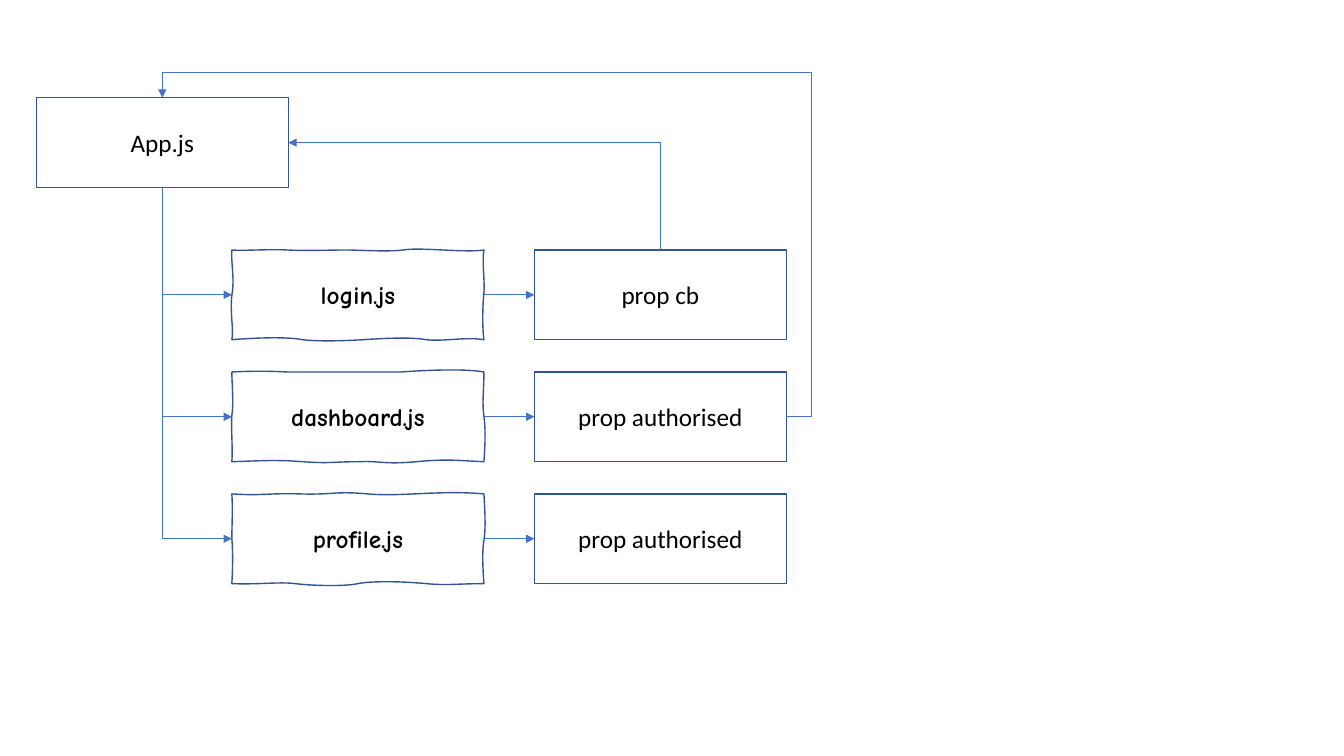
from dataclasses import dataclass

from lxml import etree
from pptx import Presentation
from pptx.dml.color import RGBColor
from pptx.enum.shapes import MSO_CONNECTOR, MSO_SHAPE
from pptx.enum.text import MSO_ANCHOR, PP_ALIGN
from pptx.oxml.ns import qn
from pptx.util import Inches, Pt

RECT = MSO_SHAPE.RECTANGLE
STRAIGHT, ELBOW = MSO_CONNECTOR.STRAIGHT, MSO_CONNECTOR.ELBOW
MIDDLE, CENTER = MSO_ANCHOR.MIDDLE, PP_ALIGN.CENTER
TOP, LEFT, BOTTOM, RIGHT = range(4)

OUTLINE, ARROW, BLACK = "325491", "4472C4", "000000"
BOX_W, BOX_H = 2.5, 0.89
APP_X, APP_Y = 0.36, 0.97
FILE_X, PROP_X = 2.3, 5.3
ROW_Y, ROW_STEP = 2.48, 1.21


@dataclass
class Row:
    file: str
    prop: str
    outline: list[tuple[int, ...]]  # cubic curves, hundredths of an inch


@dataclass
class Elbow:
    start: tuple[float, float]
    end: tuple[float, float]
    preset: str = "bentConnector2"
    turned: bool = True  # rotated by 270 degrees
    flip_h: bool = True
    flip_v: bool = False
    adjust: tuple[int, ...] = ()


ROWS = [
    Row("login.js", "prop cb", [
        (12, 1, 37, -1, 55, 0), (74, 1, 99, 0, 113, 0),
        (126, 0, 154, 2, 170, 0), (186, -3, 232, 3, 250, 0),
        (248, 10, 251, 32, 250, 42), (249, 53, 248, 74, 250, 89),
        (233, 86, 209, 91, 193, 89), (176, 86, 146, 88, 130, 89),
        (115, 90, 86, 91, 70, 89), (55, 86, 25, 87, 0, 89),
        (2, 78, -2, 63, 0, 45), (3, 27, -1, 14, 0, 0)]),
    Row("dashboard.js", "prop authorised", [
        (21, -1, 35, -1, 55, 0), (75, 0, 88, 0, 113, 0),
        (138, 0, 155, 0, 168, 0), (181, -1, 228, -4, 250, 0),
        (250, 19, 248, 30, 250, 44), (252, 58, 251, 75, 250, 89),
        (224, 88, 216, 86, 183, 89), (149, 92, 149, 88, 125, 89),
        (102, 89, 97, 91, 70, 89), (44, 87, 32, 88, 0, 89),
        (1, 74, -1, 54, 0, 43), (2, 31, 0, 12, 0, 0)]),
    Row("profile.js", "prop authorised", [
        (32, 2, 35, -1, 68, 0), (101, 1, 102, -3, 135, 0),
        (168, 3, 206, -4, 250, 0), (251, 16, 252, 35, 250, 46),
        (248, 57, 249, 75, 250, 89), (224, 89, 213, 91, 193, 89),
        (172, 87, 140, 86, 125, 89), (111, 92, 79, 91, 63, 89),
        (47, 87, 28, 90, 0, 89), (1, 70, 1, 58, 0, 44),
        (0, 29, 1, 17, 0, 0)]),
]


def color(value: str) -> RGBColor:
    return RGBColor.from_string(value)


def write(sp, text: str, font: str = "Calibri", size: float = 18,
          bold: bool = False) -> None:
    tf = sp.text_frame
    tf.word_wrap = True
    tf.vertical_anchor = MIDDLE
    p = tf.paragraphs[0]
    p.alignment = CENTER
    r = p.add_run()
    r.text = text
    r.font.name, r.font.size, r.font.bold = font, Pt(size), bold
    r.font.color.rgb = color(BLACK)


def style_box(sp) -> None:
    sp.shadow.inherit = False
    sp.fill.background()
    sp.line.color.rgb = color(OUTLINE)
    sp.line.width = Pt(1)


def add_box(s, x: float, y: float, text: str):
    sp = s.shapes.add_shape(RECT, Inches(x), Inches(y), Inches(BOX_W), Inches(BOX_H))
    style_box(sp)
    write(sp, text)
    return sp


def add_sketch_box(s, x: float, y: float, row: Row) -> None:
    builder = s.shapes.build_freeform(0, 0, scale=Inches(0.01))
    builder.add_line_segments([curve[4:] for curve in row.outline], close=True)
    sp = builder.convert_to_shape(Inches(x), Inches(y))
    # Bend each straight segment by adding its two control points
    segments = list(sp._element.iter(qn("a:lnTo")))
    for segment, (x1, y1, x2, y2, *_) in zip(segments, row.outline):
        segment.tag = qn("a:cubicBezTo")
        for i, (px, py) in enumerate([(x1, y1), (x2, y2)]):
            segment.insert(i, etree.Element(qn("a:pt"), x=str(px), y=str(py)))
    style_box(sp)
    write(sp, row.file, font="Comic Neue", bold=True)


def add_arrow(s, kind, start: tuple[float, float], end: tuple[float, float]):
    c = s.shapes.add_connector(kind, *(Inches(v) for v in start + end))
    c.line.color.rgb = color(ARROW)
    c.line.width = Pt(0.5)
    etree.SubElement(c.line._get_or_add_ln(), qn("a:tailEnd"), type="triangle")
    etree.SubElement(c._element.spPr, qn("a:effectLst"))
    return c


def add_elbow(s, elbow: Elbow, source, source_side: int, target=None, target_side: int = 0) -> None:
    c = add_arrow(s, ELBOW, elbow.start, elbow.end)
    c.begin_connect(source, source_side)
    if target is not None:
        c.end_connect(target, target_side)
    # A turned connector swaps width and height about its centre
    (x1, y1), (x2, y2) = elbow.start, elbow.end
    w, h = abs(x2 - x1), abs(y2 - y1)
    if elbow.turned:
        w, h = h, w
    c.left, c.top = Inches((x1 + x2 - w) / 2), Inches((y1 + y2 - h) / 2)
    c.width, c.height = Inches(w), Inches(h)
    xfrm = c._element.spPr.find(qn("a:xfrm"))
    xfrm.set("rot", "16200000" if elbow.turned else "0")
    xfrm.set("flipH", str(int(elbow.flip_h)))
    xfrm.set("flipV", str(int(elbow.flip_v)))
    geom = c._element.spPr.find(qn("a:prstGeom"))
    geom.set("prst", elbow.preset)
    guides = geom.find(qn("a:avLst"))
    for i, value in enumerate(elbow.adjust, 1):
        etree.SubElement(guides, qn("a:gd"), name=f"adj{i}", fmla=f"val {value}")


def main() -> None:
    prs = Presentation()
    prs.slide_width, prs.slide_height = Inches(13.33), Inches(7.5)
    s = prs.slides.add_slide(prs.slide_layouts[6])

    # App box, and one row per file with its prop
    app = add_box(s, APP_X, APP_Y, "App.js")
    app_mid = APP_X + BOX_W / 2
    props = []
    for i, row in enumerate(ROWS):
        y = ROW_Y + i * ROW_STEP
        mid = y + BOX_H / 2
        add_sketch_box(s, FILE_X, y, row)
        prop = add_box(s, PROP_X, y, row.prop)
        props.append(prop)
        c = add_arrow(s, STRAIGHT, (FILE_X + BOX_W, mid), (PROP_X, mid))
        c.end_connect(prop, LEFT)
        add_elbow(s, Elbow((app_mid, APP_Y + BOX_H), (FILE_X, mid)), app, BOTTOM)

    # Arrows from the props back to the app
    login_prop, dashboard_prop, _ = props
    add_elbow(s, Elbow((PROP_X + BOX_W / 2, ROW_Y), (APP_X + BOX_W, APP_Y + BOX_H / 2),
                       flip_h=False, flip_v=True),
              login_prop, TOP, app, RIGHT)
    add_elbow(s, Elbow((PROP_X + BOX_W, ROW_Y + ROW_STEP + BOX_H / 2), (app_mid, APP_Y),
                       preset="bentConnector4", turned=False, flip_v=True,
                       adjust=(-4000, 107900)),
              dashboard_prop, RIGHT, app, TOP)

    prs.save("out.pptx")


if __name__ == "__main__":
    main()
